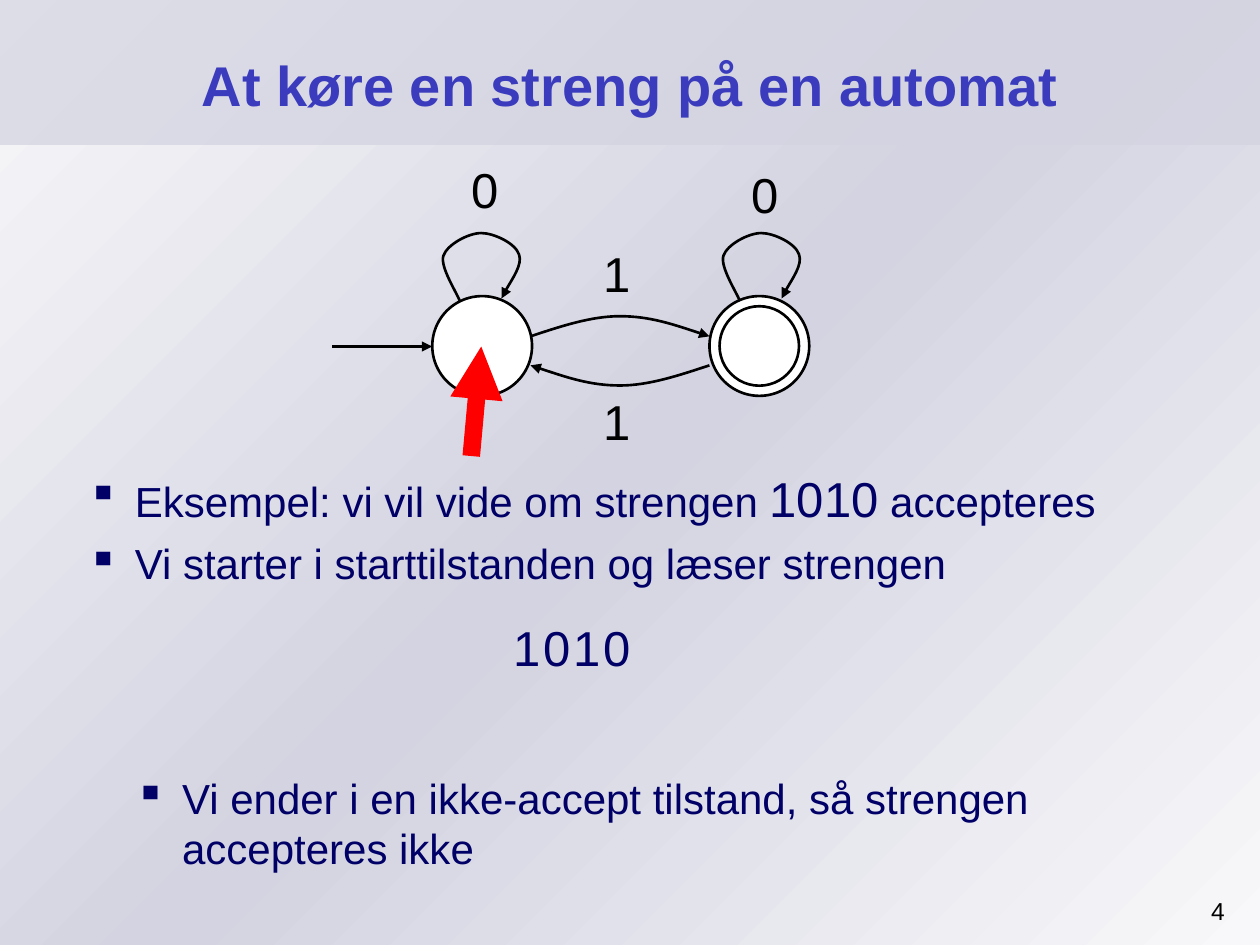
from dataclasses import dataclass
from typing import NamedTuple

from lxml.etree import SubElement
from pptx import Presentation
from pptx.dml.color import RGBColor
from pptx.enum.shapes import MSO_CONNECTOR, MSO_SHAPE
from pptx.enum.text import MSO_ANCHOR, PP_ALIGN
from pptx.oxml.ns import qn
from pptx.util import Pt


@dataclass(frozen=True)
class Theme:
    font: str = "Arial"
    title: str = "3B3BBE"
    body: str = "000066"
    ink: str = "000000"
    paper: str = "FFFFFF"
    pale: str = "F8F8FA"
    lilac: str = "D3D3E1"
    marker: str = "FF0000"
    title_size: float = 32
    symbol_size: float = 28
    body_size: float = 24
    number_size: float = 14
    stroke: float = 1.5
    marker_stroke: float = 10


class Point(NamedTuple):
    x: float
    y: float


class Label(NamedTuple):
    text: str
    x: float
    y: float
    color: str


class Bullet(NamedTuple):
    runs: list[tuple[str, float]]
    margin: float
    before: float


THEME = Theme()
STATE_SIZE = 57
STATE_TOP = 169.2
START_X, ACCEPT_X = 247, 405.4
LOOP_SHIFT = 160
RING_GAP = 5.8
HANGING = 27
DIGIT_STEP = 17

LOOP = [Point(*xy) for xy in (
    (262.8, 172.1), (261.4, 167.8), (251.3, 152.6), (253.4, 146.2),
    (255.6, 139.7), (267.8, 133.2), (275, 133.2),
    (282.2, 133.2), (294.5, 139), (296.6, 145.4),
    (298.8, 151.2), (288.7, 165.6), (286.6, 170.6))]
FORWARD = [Point(*xy) for xy in (
    (303.1, 192.2), (320.4, 186.5), (337.7, 180.7), (354.2, 180.7),
    (371.5, 180.7), (388.1, 186.5), (405.4, 192.2))]
BACKWARD = [Point(708.5 - p.x, 401 - p.y) for p in FORWARD]

EDGE_LABELS = [Label("0", 262.1, 87.8, THEME.ink), Label("0", 422.3, 90.3, THEME.ink),
               Label("1", 337.5, 135.4, THEME.ink), Label("1", 337.5, 220.3, THEME.ink)]
INPUT_LABELS = [Label(digit, 286.5 + i * DIGIT_STEP, 349.2, THEME.body)
                for i, digit in enumerate("1010")]

BULLETS = [
    Bullet([("Eksempel: vi vil vide om strengen ", THEME.body_size),
            ("1010", THEME.symbol_size),
            (" accepteres", THEME.body_size)], 34, 0),
    Bullet([("Vi starter i starttilstanden og læser strengen", THEME.body_size)], 34, 6),
    Bullet([("Vi ender i en ikke-accept tilstand, så strengen\vaccepteres ikke",
             THEME.body_size)], 61, 105),
]


def rgb(value: str) -> RGBColor:
    return RGBColor.from_string(value)


def style_font(font, size: float, color: str, bold: bool = False) -> None:
    font.name = THEME.font
    font.size = Pt(size)
    font.bold = bold
    font.color.rgb = rgb(color)


def add_arrowhead(line_shape) -> None:
    outline = line_shape.line._get_or_add_ln()
    SubElement(outline, qn("a:tailEnd"), type="triangle")


def add_panel(slide, height: float):
    panel = slide.shapes.add_shape(MSO_SHAPE.RECTANGLE, 0, 0, Pt(720), Pt(height))
    panel.shadow.inherit = False
    panel.line.fill.background()
    return panel


def add_backdrop(slide) -> None:
    wash = add_panel(slide, 540)
    wash.fill.gradient()
    wash.fill.gradient_angle = 315
    stops = wash.fill._fill._gradFill.find(qn("a:gsLst"))
    for stop in list(stops):
        stops.remove(stop)
    for position, color in ((0, THEME.pale), (50, THEME.lilac), (100, THEME.pale)):
        stop = SubElement(stops, qn("a:gs"), pos=str(position * 1000))
        SubElement(stop, qn("a:srgbClr"), val=color)
    band = add_panel(slide, 82.8)
    band.fill.solid()
    band.fill.fore_color.rgb = rgb(THEME.lilac)
    tint = band._element.spPr.find(qn("a:solidFill"))[0]
    SubElement(tint, qn("a:alpha"), val="72000")


def add_title(slide, text: str) -> None:
    title = slide.shapes.title
    title.left, title.top, title.width, title.height = Pt(36), Pt(12.2), Pt(648), Pt(71.3)
    title.text_frame.text = text
    title.text_frame.vertical_anchor = MSO_ANCHOR.MIDDLE
    heading = title.text_frame.paragraphs[0]
    heading.alignment = PP_ALIGN.CENTER
    style_font(heading.font, THEME.title_size, THEME.title, True)
    slide.shapes._spTree.append(title._element)


def add_state(slide, x: float, inset: float = 0, filled: bool = True) -> None:
    size = Pt(STATE_SIZE - 2 * inset)
    state = slide.shapes.add_shape(
        MSO_SHAPE.OVAL, Pt(x + inset), Pt(STATE_TOP + inset), size, size)
    state.shadow.inherit = False
    if filled:
        state.fill.solid()
        state.fill.fore_color.rgb = rgb(THEME.paper)
    else:
        state.fill.background()
    state.line.color.rgb = rgb(THEME.ink)
    state.line.width = Pt(THEME.stroke)


def add_arrow(slide, tail: Point, tip: Point, color: str, width: float) -> None:
    arrow = slide.shapes.add_connector(
        MSO_CONNECTOR.STRAIGHT, Pt(tail.x), Pt(tail.y), Pt(tip.x), Pt(tip.y))
    arrow.line.color.rgb = rgb(color)
    arrow.line.width = Pt(width)
    add_arrowhead(arrow)
    SubElement(arrow._element.spPr, qn("a:effectLst"))


def add_transition(slide, points: list[Point], shift: float = 0) -> None:
    corners = [(Pt(p.x + shift), Pt(p.y)) for p in points]
    builder = slide.shapes.build_freeform(*corners[0])
    builder.add_line_segments(corners[1:], close=False)
    transition = builder.convert_to_shape()
    transition.shadow.inherit = False
    transition.fill.background()
    transition.line.color.rgb = rgb(THEME.ink)
    transition.line.width = Pt(THEME.stroke)
    add_arrowhead(transition)
    segments = list(transition._element.iter(qn("a:lnTo")))
    outline = segments[0].getparent()
    for first in range(0, len(segments), 3):
        curve = SubElement(outline, qn("a:cubicBezTo"))
        for segment in segments[first:first + 3]:
            curve.append(segment[0])
            outline.remove(segment)


def add_label(slide, label: Label) -> None:
    box = slide.shapes.add_textbox(Pt(label.x), Pt(label.y), Pt(29.5), Pt(38.9))
    box.text_frame.word_wrap = False
    box.text_frame.text = label.text
    style_font(box.text_frame.paragraphs[0].font, THEME.symbol_size, label.color)


def add_bullets(slide, bullets: list[Bullet]) -> None:
    frame = slide.shapes.add_textbox(Pt(36), Pt(264.2), Pt(664.6), Pt(238.3)).text_frame
    frame.word_wrap = True
    for index, bullet in enumerate(bullets):
        paragraph = frame.paragraphs[0] if index == 0 else frame.add_paragraph()
        paragraph.space_before = Pt(bullet.before)
        properties = paragraph._p.get_or_add_pPr()
        properties.set("marL", str(Pt(bullet.margin)))
        properties.set("indent", str(-Pt(HANGING)))
        bullet_color = SubElement(properties, qn("a:buClr"))
        SubElement(bullet_color, qn("a:srgbClr"), val=THEME.body)
        SubElement(properties, qn("a:buChar"), char="▪")
        style_font(paragraph.font, THEME.body_size, THEME.body)
        for text, size in bullet.runs:
            if "\v" in text:
                before, after = text.split("\v")
                paragraph.add_run().text = before
                paragraph.add_line_break()
                text = after
            run = paragraph.add_run()
            run.text = text
            if size != THEME.body_size:
                run.font.size = Pt(size)


def add_slide_number(slide, number: str) -> None:
    frame = slide.shapes.add_textbox(Pt(649.4), Pt(508.3), Pt(57.6), Pt(28.1)).text_frame
    frame.word_wrap = True
    frame.text = number
    frame.paragraphs[0].alignment = PP_ALIGN.RIGHT
    style_font(frame.paragraphs[0].font, THEME.number_size, THEME.ink)


def main() -> None:
    deck = Presentation()
    deck.slide_width, deck.slide_height = Pt(720), Pt(540)
    slide = deck.slides.add_slide(deck.slide_layouts[5])
    add_backdrop(slide)
    add_title(slide, "At køre en streng på en automat")
    add_bullets(slide, BULLETS)
    add_state(slide, START_X)
    add_state(slide, ACCEPT_X)
    add_arrow(slide, Point(190, 198), Point(START_X, 198), THEME.ink, THEME.stroke)
    add_state(slide, ACCEPT_X, RING_GAP, False)
    for shift in (0, LOOP_SHIFT):
        add_transition(slide, LOOP, shift)
    for points in (FORWARD, BACKWARD):
        add_transition(slide, points)
    for label in EDGE_LABELS + INPUT_LABELS:
        add_label(slide, label)
    add_arrow(slide, Point(269.3, 260.6), Point(275, 198), THEME.marker, THEME.marker_stroke)
    add_slide_number(slide, "4")
    deck.save("out.pptx")


if __name__ == "__main__":
    main()
